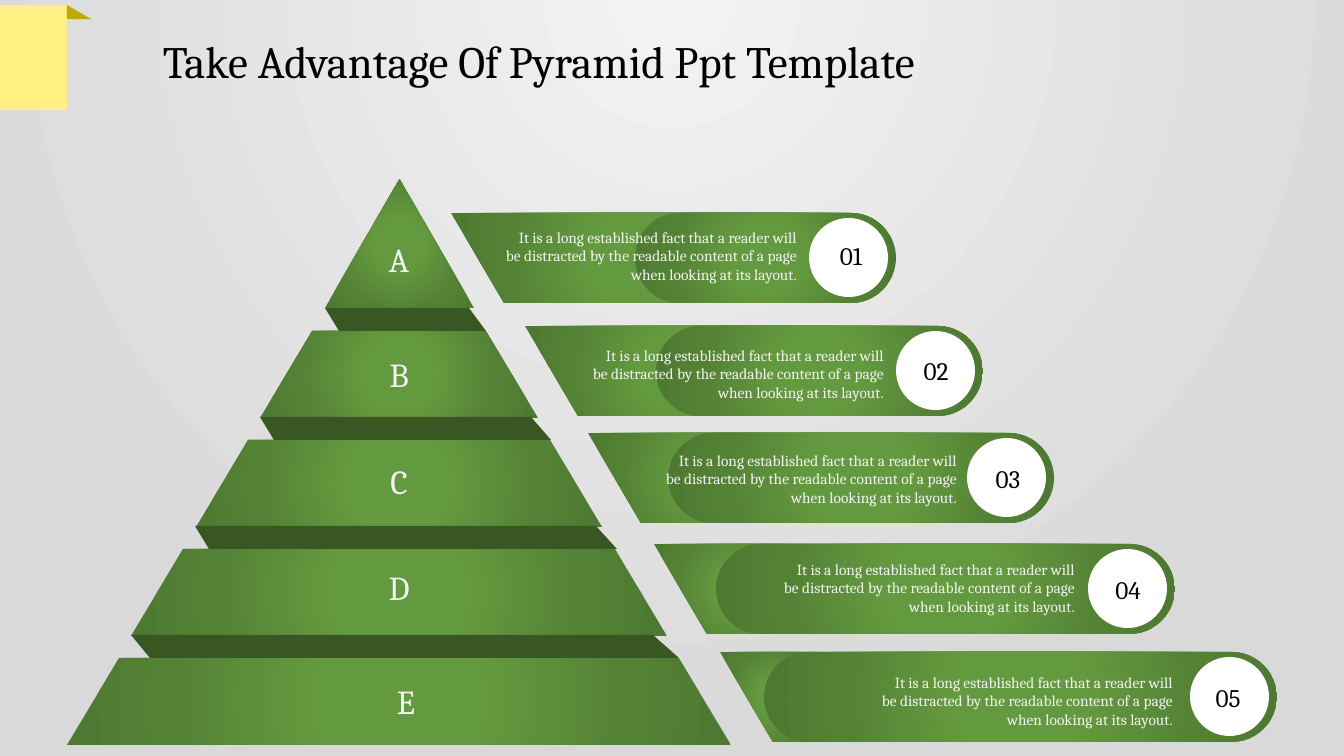
import lxml.etree
import pptx
import pptx.dml.color
import pptx.enum.shapes
import pptx.enum.text
import pptx.oxml.ns
import pptx.util

SHAPE = pptx.enum.shapes.MSO_SHAPE
ALIGN = pptx.enum.text.PP_ALIGN
COLORS = {
    "light": "F2F2F2", "grey": "D9D9D9", "white": "FFFFFF", "black": "000000",
    "bright": "649A3F", "green": "548235", "deep": "4E7932", "fold": "385723",
    "note": "FFF083", "note_fold": "C1AA00",
}
GREEN_STOPS = [(0, "bright"), (23, "bright"), (69, "green"), (97, "deep")]
BODY = ("It is a long established fact that a reader will be distracted by "
        "the readable content of a page when looking at its layout.")


class SlideBuilder:
    font_name = "Cambria"

    def __init__(self, width, height):
        self.deck = pptx.Presentation()
        self.deck.slide_width = self.px(width)
        self.deck.slide_height = self.px(height)
        self.slide = self.deck.slides.add_slide(self.deck.slide_layouts[6])

    def px(self, value):
        return pptx.util.Emu(round(value * 914400 / 100.8))

    def color(self, name):
        return pptx.dml.color.RGBColor.from_string(COLORS[name])

    def radial(self, owner, fill, stops, focus):
        fill.gradient()
        qn = pptx.oxml.ns.qn
        gradient = next(owner.element.iter(qn("a:gradFill")))
        for child in list(gradient):
            gradient.remove(child)
        stop_list = lxml.etree.SubElement(gradient, qn("a:gsLst"))
        for position, name in stops:
            stop = lxml.etree.SubElement(stop_list, qn("a:gs"), pos=str(position * 1000))
            lxml.etree.SubElement(stop, qn("a:srgbClr"), val=COLORS[name])
        circle = lxml.etree.SubElement(gradient, qn("a:path"), path="circle")
        sides = {side: str(share * 1000) for side, share in zip("ltrb", focus)}
        lxml.etree.SubElement(circle, qn("a:fillToRect"), **sides)

    def background(self, stops, focus):
        self.radial(self.slide, self.slide.background.fill, stops, focus)

    def finish(self, shape, fill):
        shape.shadow.inherit = False
        shape.line.fill.background()
        if fill:
            shape.fill.solid()
            shape.fill.fore_color.rgb = self.color(fill)
        else:
            self.radial(shape, shape.fill, GREEN_STOPS, (50, 50, 50, 50))

    def preset(self, kind, box, fill=None, adjust=None):
        shape = self.slide.shapes.add_shape(kind, *map(self.px, box))
        if adjust is not None:
            shape.adjustments[0] = adjust
        self.finish(shape, fill)

    def outline(self, points, fill=None):
        start, *rest = [tuple(map(self.px, point)) for point in points]
        builder = self.slide.shapes.build_freeform(*start)
        builder.add_line_segments(rest, close=True)
        self.finish(builder.convert_to_shape(), fill)

    def text(self, words, box, size, color, align=ALIGN.CENTER, wrap=True):
        frame = self.slide.shapes.add_textbox(*map(self.px, box)).text_frame
        frame.word_wrap = wrap
        frame.auto_size = pptx.enum.text.MSO_AUTO_SIZE.SHAPE_TO_FIT_TEXT
        paragraph = frame.paragraphs[0]
        paragraph.text = words
        paragraph.alignment = align
        paragraph.font.name = self.font_name
        paragraph.font.size = pptx.util.Pt(size)
        paragraph.font.color.rgb = self.color(color)


def draw_pyramid(page):
    center, pitch, tier_height, fold_height = 399, 109, 87, 23
    page.preset(SHAPE.ISOSCELES_TRIANGLE, (325, 179, 149, 129))
    tier_lefts = [260, 196, 131, 67]
    folds = [(325, 339, 486, 469), (260, 274, 551, 531),
             (195, 209, 617, 596), (131, 150, 679, 653)]
    for row, (left, fold) in enumerate(zip(tier_lefts, folds)):
        top = 331 + row * pitch
        page.preset(SHAPE.TRAPEZOID, (left, top, 2 * (center - left), tier_height), adjust=0.6)
        heights = (top - fold_height, top, top, top - fold_height)
        page.outline(list(zip(fold, heights)), "fold")
    letters = [("A", 347, 234), ("B", 347, 349), ("C", 347, 456),
               ("D", 347, 562), ("E", 354, 676)]
    for letter, left, top in letters:
        page.text(letter, (left, top, 104, 50), 24, "light")


def draw_banners(page):
    height, slant, disc = 90, 53, 79
    banners = [
        (213, 451, 821, 635, 896, (818, 235), (491, 223)),
        (326, 525, 833, 656, 983, (903, 350), (578, 341)),
        (433, 588, 830, 668, 1054, (975, 458), (651, 446)),
        (544, 654, 831, 716, 1175, (1095, 569), (769, 555)),
        (652, 720, 831, 764, 1277, (1195, 677), (867, 668)),
    ]
    for number, banner in enumerate(banners, 1):
        top, left, right, pill_left, pill_right, number_at, body_at = banner
        bottom = top + height
        page.outline([(left, top), (right, top), (right, bottom), (left + slant, bottom)])
        page.preset(SHAPE.ROUNDED_RECTANGLE,
                    (pill_left, top, pill_right - pill_left, height), adjust=0.5)
        page.preset(SHAPE.OVAL, (pill_right - 87, top + 5, disc, disc), "white")
        page.text(f"{number:02}", (*number_at, 66, 40), 18, "black")
        page.text(BODY, (*body_at, 316, 67), 11, "light", ALIGN.RIGHT)


def main():
    page = SlideBuilder(1344, 756)
    page.background([(0, "light"), (100, "grey")], (50, -80, 50, 180))
    draw_pyramid(page)
    draw_banners(page)
    page.text("Take Advantage Of Pyramid Ppt Template", (153, 29, 827, 65),
              32, "black", ALIGN.LEFT, wrap=False)
    page.preset(SHAPE.RECTANGLE, (0, 5, 67, 105), "note")
    page.preset(SHAPE.ISOSCELES_TRIANGLE, (67, 5, 24, 14), "note_fold", 0)
    page.deck.save("out.pptx")


if __name__ == "__main__":
    main()
